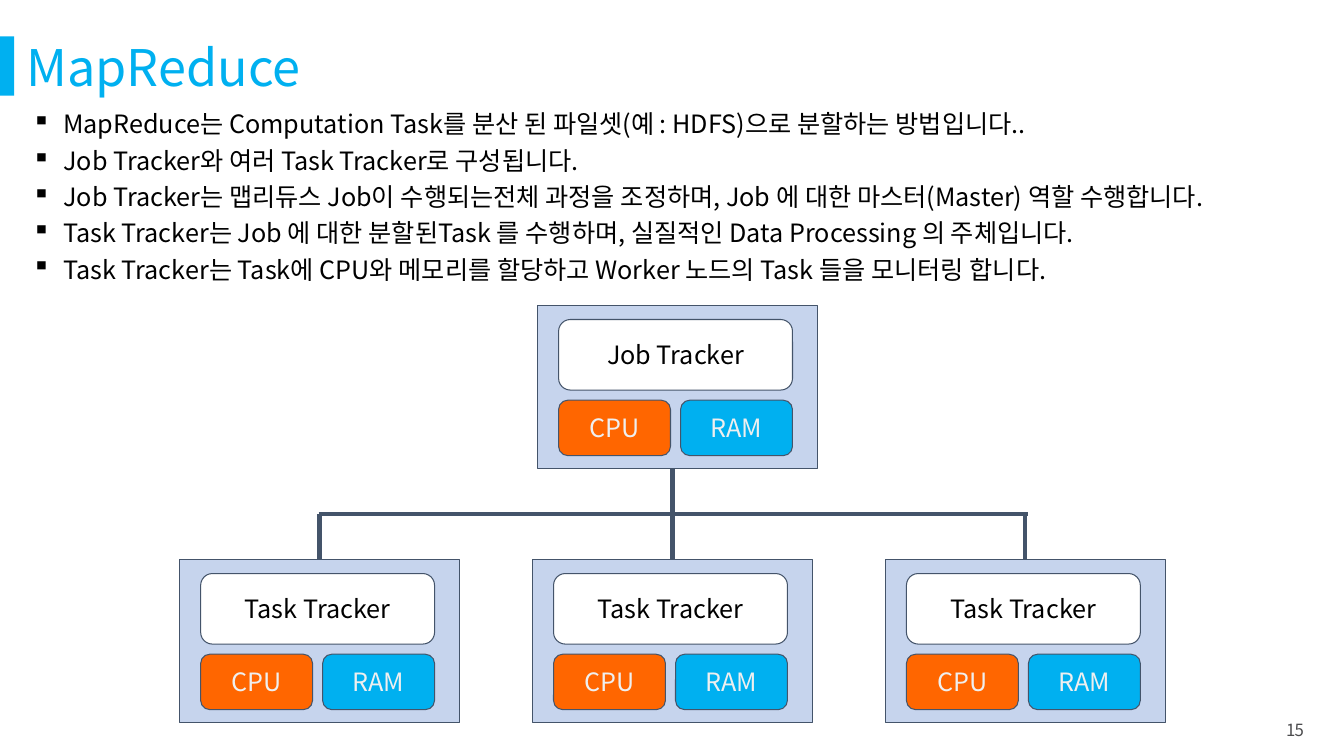
from dataclasses import dataclass

from lxml.etree import SubElement
from pptx import Presentation
from pptx.dml.color import RGBColor
from pptx.enum.shapes import MSO_CONNECTOR, MSO_SHAPE
from pptx.enum.text import MSO_ANCHOR, MSO_AUTO_SIZE, PP_ALIGN
from pptx.oxml.ns import qn
from pptx.util import Pt

EMU_PER_PX = 9144  # 100 px to the inch


def px(length):
    return length * EMU_PER_PX


@dataclass(frozen=True)
class Theme:
    font: str = "Noto Sans CJK KR"
    accent: str = "00B0F0"
    orange: str = "FF6600"
    node: str = "8FAADC"
    outline: str = "44546A"
    white: str = "FFFFFF"
    black: str = "000000"
    chip_text: str = "EFEFEF"
    number: str = "4C4C4E"
    title_size: int = 36
    body_size: int = 18
    number_size: int = 12
    outline_width: float = 0.75
    connector_width: int = 3


class SlideBuilder:
    def __init__(self, page, theme):
        self.page = page
        self.theme = theme

    def place(self, shape, left, top, width, height):
        shape.left, shape.top = px(left), px(top)
        shape.width, shape.height = px(width), px(height)

    def style(self, para, size, color):
        for span in para.runs:
            span.font.size = Pt(size)
            span.font.name = self.theme.font
            span.font.color.rgb = RGBColor.from_string(color)
            properties = span.font._element
            SubElement(properties, qn("a:ea"), typeface=self.theme.font)

    def title(self, text, *bounds):
        title = self.page.shapes.title
        self.place(title, *bounds)
        frame = title.text_frame
        frame.text = text
        frame.auto_size = MSO_AUTO_SIZE.NONE
        frame.vertical_anchor = MSO_ANCHOR.TOP
        para = frame.paragraphs[0]
        para.alignment = PP_ALIGN.LEFT
        para.line_spacing = 0.9
        self.style(para, self.theme.title_size, self.theme.accent)

    def bullets(self, lines, *bounds):
        frame = self.page.shapes.add_textbox(*map(px, bounds)).text_frame
        frame.word_wrap = True
        frame.auto_size = MSO_AUTO_SIZE.SHAPE_TO_FIT_TEXT
        frame.text = "\n".join(lines)
        for para in frame.paragraphs:
            properties = para._p.get_or_add_pPr()
            properties.set("marL", str(px(31)))
            properties.set("indent", str(px(-31)))
            SubElement(properties, qn("a:buChar"), char="▪")
            para.line_spacing = 1.2
            self.style(para, self.theme.body_size, self.theme.black)

    def page_number(self, text, *bounds):
        frame = self.page.shapes.add_textbox(*map(px, bounds)).text_frame
        frame.word_wrap = False
        frame.text = text
        para = frame.paragraphs[0]
        para.alignment = PP_ALIGN.CENTER
        self.style(para, self.theme.number_size, self.theme.number)
        para.runs[0].font._element.set("spc", "-60")

    def box(self, parent, kind, bounds, fill, outlined=True):
        box = parent.shapes.add_shape(kind, *map(px, bounds))
        box.shadow.inherit = False
        box.fill.solid()
        box.fill.fore_color.rgb = RGBColor.from_string(fill)
        if outlined:
            box.line.color.rgb = RGBColor.from_string(self.theme.outline)
            box.line.width = Pt(self.theme.outline_width)
        else:
            box.line.fill.background()
        return box

    def label(self, parent, text, bounds, fill, color):
        box = self.box(parent, MSO_SHAPE.ROUNDED_RECTANGLE, bounds, fill)
        frame = box.text_frame
        frame.margin_left = frame.margin_right = px(13)
        frame.margin_top = frame.margin_bottom = px(13)
        frame.vertical_anchor = MSO_ANCHOR.MIDDLE
        frame.word_wrap = True
        frame.text = text
        para = frame.paragraphs[0]
        para.alignment = PP_ALIGN.CENTER
        self.style(para, self.theme.body_size, color)

    def node(self, name, left, top):
        """Draw a tracker with its CPU and RAM; return the enclosing rectangle."""
        theme = self.theme
        group = self.page.shapes.add_group_shape()
        frame = self.box(group, MSO_SHAPE.RECTANGLE, (left, top, 278, 162), theme.node)
        color = frame.fill._xPr.find(f".//{qn('a:srgbClr')}")
        SubElement(color, qn("a:alpha"), val="50000")
        inner = left + 21
        self.label(group, name, (inner, top + 14, 232, 70), theme.white, theme.black)
        for column, (part, fill) in enumerate((("CPU", theme.orange), ("RAM", theme.accent))):
            bounds = (inner + column * 121, top + 94, 111, 55)
            self.label(group, part, bounds, fill, theme.chip_text)
        return frame

    def connector(self, start, end, target=None):
        """Draw a line, joined to the top of target when one is given."""
        line = self.page.shapes.add_connector(
            MSO_CONNECTOR.STRAIGHT, *map(px, (*start, *end)))
        if target is not None:
            line.end_connect(target, 0)
        line.line.color.rgb = RGBColor.from_string(self.theme.outline)
        line.line.width = Pt(self.theme.connector_width)
        SubElement(line._element.spPr, qn("a:effectLst"))


def main():
    deck = Presentation()
    deck.slide_width, deck.slide_height = px(1333), px(750)
    theme = Theme()
    builder = SlideBuilder(deck.slides.add_slide(deck.slide_layouts[5]), theme)

    builder.page_number("15", 1265, 709, 39, 30)
    builder.title("MapReduce", 16, 38, 1122, 60)
    builder.box(builder.page, MSO_SHAPE.RECTANGLE, (-1, 36, 15, 59), theme.accent, outlined=False)
    builder.bullets((
        "MapReduce는 Computation Task를 분산 된 파일셋(예 : HDFS)으로 분할하는 방법입니다..",
        "Job Tracker와 여러 Task Tracker로 구성됩니다.",
        "Job Tracker는 맵리듀스 Job이 수행되는전체 과정을 조정하며, Job 에 대한 마스터(Master) 역할 수행합니다.",
        "Task Tracker는 Job 에 대한 분할된Task 를 수행하며, 실질적인 Data Processing 의 주체입니다.",
        "Task Tracker는 Task에 CPU와 메모리를 할당하고 Worker 노드의 Task 들을 모니터링 합니다.",
    ), 22, 97, 1298, 192)

    builder.node("Job Tracker", 533, 303)
    bus_top = 510
    builder.connector((667, 465), (667, bus_top))
    builder.connector((316, bus_top), (1020, bus_top))
    for index in range(3):
        left = 178 + index * 350
        task = builder.node("Task Tracker", left, 555)
        middle = left + 139
        builder.connector((middle, bus_top), (middle, 555), task)

    deck.save("out.pptx")


if __name__ == "__main__":
    main()
